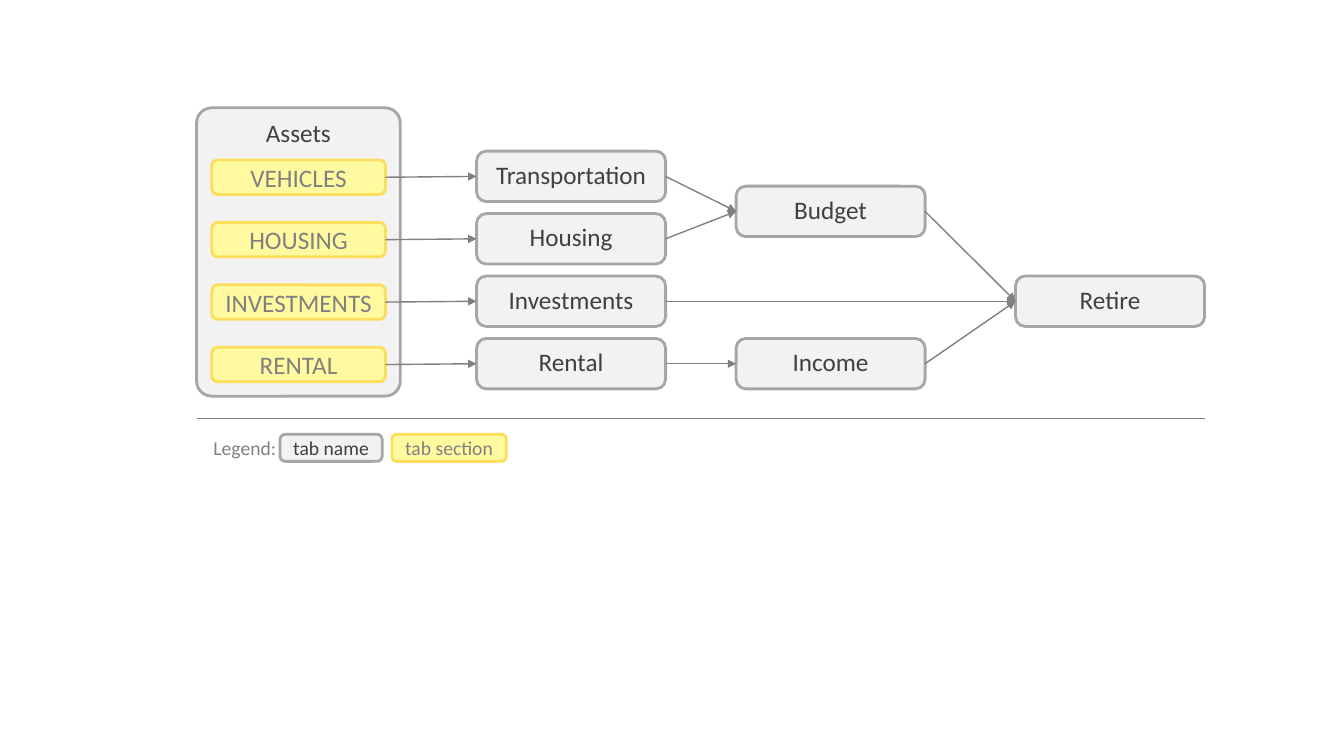
from typing import NamedTuple

from lxml.etree import SubElement
from pptx import Presentation
from pptx.dml.color import RGBColor
from pptx.enum.shapes import MSO_CONNECTOR, MSO_SHAPE
from pptx.enum.text import MSO_ANCHOR, PP_ALIGN
from pptx.oxml.ns import qn
from pptx.shapes.autoshape import Shape
from pptx.shapes.connector import Connector
from pptx.text.text import _Paragraph
from pptx.util import Pt

HUES = {
    "tab": "F2F2F2", "edge": "A6A6A6", "ink": "404040",
    "part": "FFFAA0", "gold": "FDDD5C", "gray": "808080",
}
FONT = "Calibri"
LEFT, RIGHT = 140.4, 860.4
TOP, STEP = 108, 44.6
TAB_W, TAB_H = 135, 36
PART_W, PART_H = 124, 24.6
KEY_Y, KEY_H = 310.2, 19.4


class Style(NamedTuple):
    fill: str
    line: str
    ink: str
    bend: float


class Box(NamedTuple):
    text: str
    x: float
    y: float
    w: float
    h: float
    style: Style
    size: float = 18
    mid: bool = False


PANEL = Style("tab", "edge", "ink", 0.075)
TAB = Style("tab", "edge", "ink", 0.192)
PART = Style("part", "gold", "gray", 0.167)

deck = Presentation()
deck.slide_width, deck.slide_height = Pt(960), Pt(540)
slide = deck.slides.add_slide(deck.slide_layouts[6])


def hue(name: str) -> RGBColor:
    return RGBColor.from_string(HUES[name])


def add_run(para: _Paragraph, text: str, size: float, ink: str) -> None:
    run = para.add_run()
    run.text = text
    run.font.name, run.font.size = FONT, Pt(size)
    run.font.color.rgb = hue(ink)


def draw_box(box: Box) -> Shape:
    shape = slide.shapes.add_shape(
        MSO_SHAPE.ROUNDED_RECTANGLE, Pt(box.x), Pt(box.y), Pt(box.w), Pt(box.h))
    shape.adjustments[0] = box.style.bend
    shape.shadow.inherit = False
    shape.fill.solid()
    shape.fill.fore_color.rgb = hue(box.style.fill)
    shape.line.color.rgb = hue(box.style.line)
    shape.line.width = Pt(2)
    frame = shape.text_frame
    frame.vertical_anchor = MSO_ANCHOR.MIDDLE if box.mid else MSO_ANCHOR.TOP
    para = frame.paragraphs[0]
    para.alignment = PP_ALIGN.CENTER
    add_run(para, box.text, box.size, box.style.ink)
    return shape


def draw_tab(text: str, x: float, y: float) -> Shape:
    return draw_box(Box(text, x, y, TAB_W, TAB_H, TAB))


def draw_line(x: float, y: float, end: float, width: float) -> Connector:
    line = slide.shapes.add_connector(
        MSO_CONNECTOR.STRAIGHT, Pt(x), Pt(y), Pt(end), Pt(y))
    line.line.color.rgb = hue("gray")
    line.line.width = Pt(width)
    SubElement(line._element.spPr, qn("a:effectLst"))
    return line


def link(start: Shape, end: Shape) -> None:
    line = draw_line(0, 0, 0, 1)
    line.begin_connect(start, 3)
    line.end_connect(end, 1)
    SubElement(line.line._get_or_add_ln(), qn("a:tailEnd"), type="triangle")


draw_box(Box("Assets", LEFT, 77, 145.6, 206, PANEL))

tabs: dict[str, Shape] = {}
for row, name in enumerate(["Transportation", "Housing", "Investments", "Rental"]):
    y = TOP + row * STEP
    label = "VEHICLES" if row == 0 else name.upper()
    part = draw_box(Box(label, 151.3, y + 6.3, PART_W, PART_H, PART, mid=True))
    tabs[name] = draw_tab(name, 340.4, y)
    link(part, tabs[name])

for name, x, y in [
    ("Budget", 525.8, 133),
    ("Income", 525.8, TOP + 3 * STEP),
    ("Retire", RIGHT - TAB_W, TOP + 2 * STEP),
]:
    tabs[name] = draw_tab(name, x, y)

for start, end in [
    ("Transportation", "Budget"), ("Housing", "Budget"), ("Rental", "Income"),
    ("Budget", "Retire"), ("Investments", "Retire"), ("Income", "Retire"),
]:
    link(tabs[start], tabs[end])

draw_line(LEFT, 298.8, RIGHT, 0.5)
draw_box(Box("tab name", 200, KEY_Y, 73, KEY_H, TAB, 14, True))
draw_box(Box("tab section", 280, KEY_Y, 81.6, KEY_H, PART, 14, True))
key = slide.shapes.add_textbox(Pt(145.4), Pt(307.6), Pt(60), Pt(24.4))
key.text_frame.word_wrap = False
add_run(key.text_frame.paragraphs[0], "Legend:", 14, "gray")

deck.save("out.pptx")
